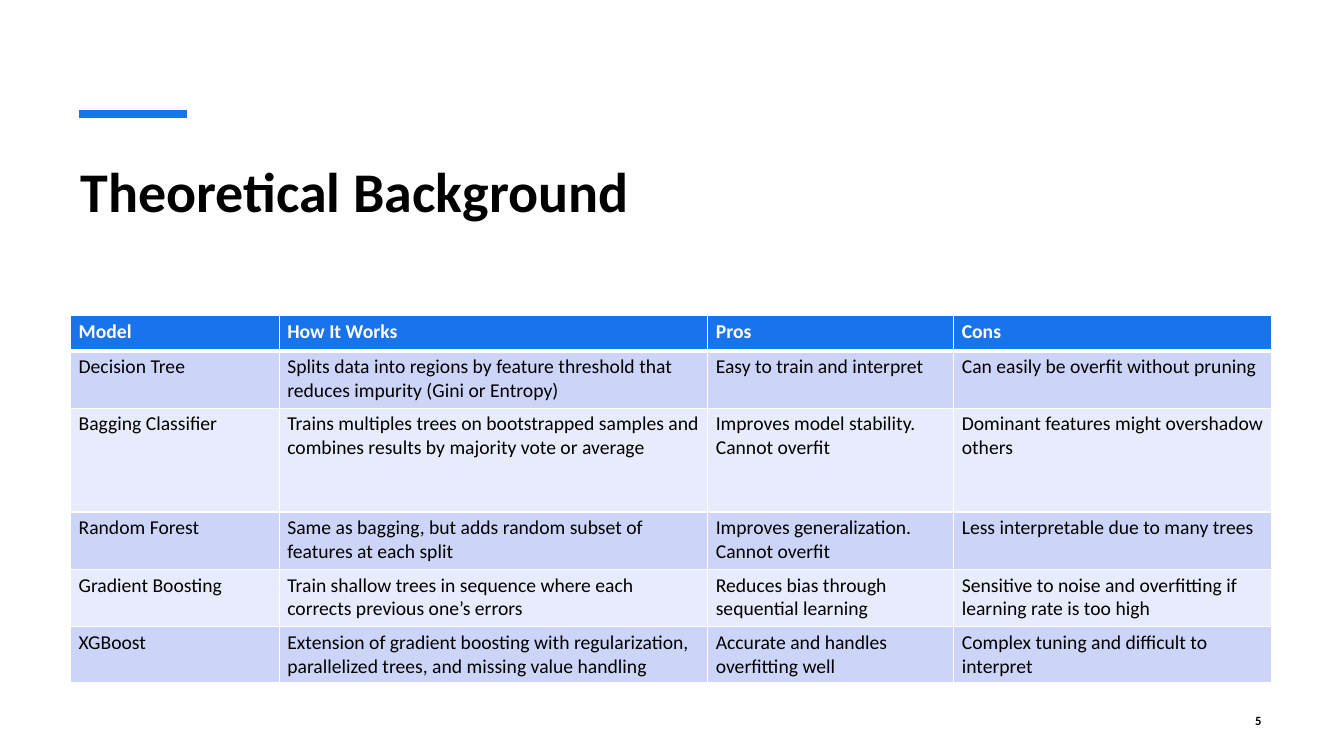
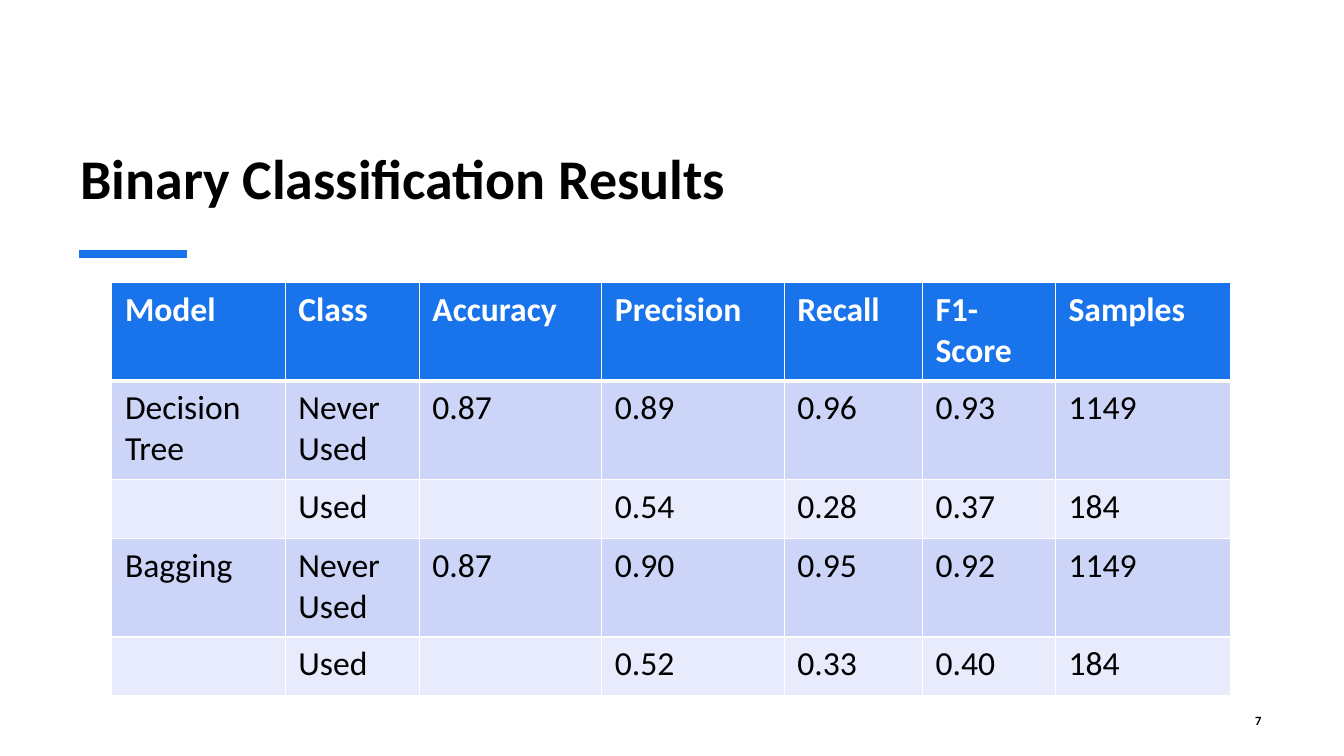
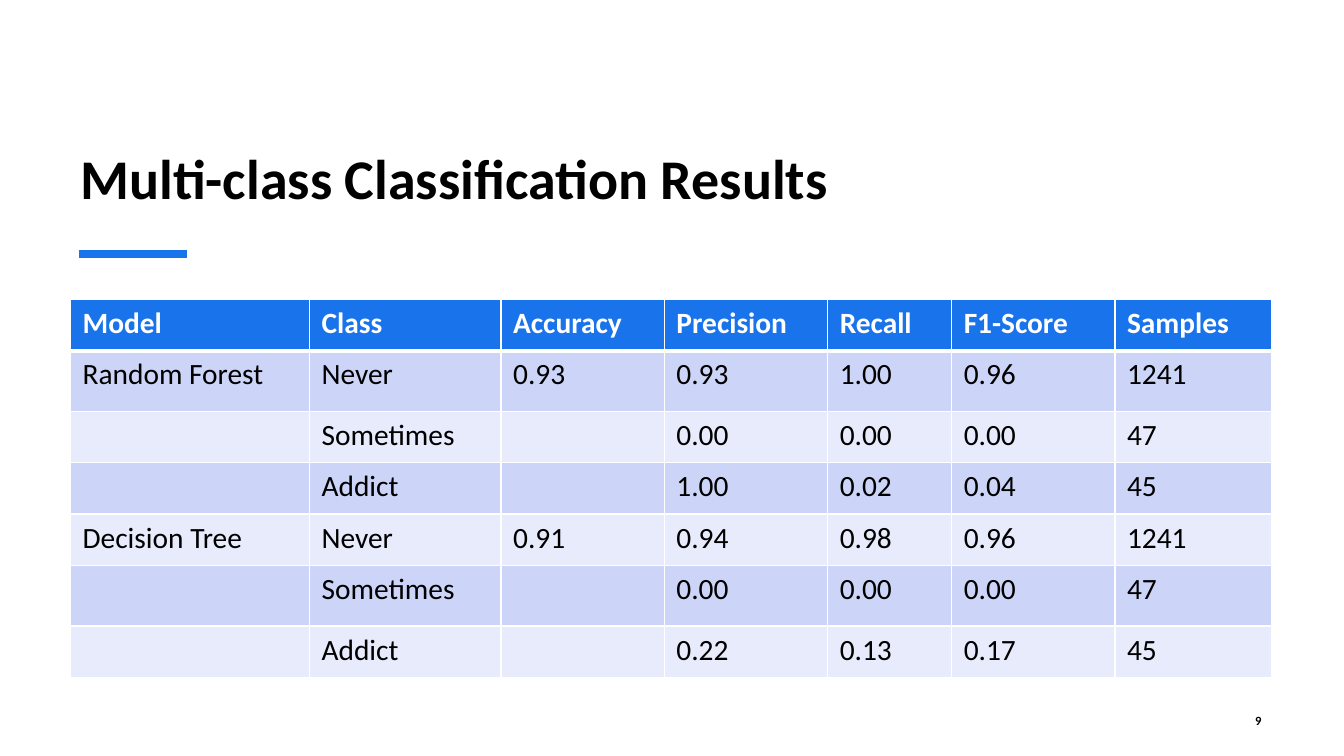
from dataclasses import dataclass

from lxml import etree
from pptx import Presentation
from pptx.dml.color import RGBColor
from pptx.enum.shapes import MSO_CONNECTOR
from pptx.enum.text import MSO_ANCHOR, PP_ALIGN
from pptx.oxml.ns import qn
from pptx.util import Inches, Pt

STRAIGHT = MSO_CONNECTOR.STRAIGHT
TOP, MIDDLE, BOTTOM = MSO_ANCHOR.TOP, MSO_ANCHOR.MIDDLE, MSO_ANCHOR.BOTTOM
LEFT, RIGHT = PP_ALIGN.LEFT, PP_ALIGN.RIGHT


@dataclass(frozen=True)
class Theme:
    font: str = "Calibri"
    accent: str = "1973EB"
    ink: str = "000000"
    paper: str = "FFFFFF"
    bands: tuple[str, str] = ("CCD5F7", "E8EBFB")
    title_size: int = 40
    number_size: int = 9
    accent_weight: int = 6
    grid_weight: int = 1
    header_weight: int = 3


@dataclass(frozen=True)
class Heading:
    top: float
    height: float
    anchor: MSO_ANCHOR
    accent_y: float


@dataclass(frozen=True)
class TableStyle:
    left: float
    top: float
    columns: tuple[float, ...]
    rows: tuple[float, ...]
    size: int
    inset_left: float
    inset_right: float
    inset_y: float


@dataclass(frozen=True)
class TablePage:
    title: str
    number: int
    heading: Heading
    style: TableStyle
    cells: tuple[tuple[str, ...], ...]


THEME = Theme()
ACCENT_ABOVE = Heading(1.5, 1.2, TOP, 1.13)
ACCENT_BELOW = Heading(0.62, 1.52, BOTTOM, 2.52)
SCORE_HEADER = ("Model", "Class", "Accuracy", "Precision", "Recall", "F1-Score", "Samples")

PAGES = (
    TablePage(
        "Theoretical Background", 5, ACCENT_ABOVE,
        TableStyle(0.7, 3.13, (2.07, 4.25, 2.44, 3.15),
                   (0.35, 0.57, 1.03, 0.57, 0.57, 0.55), 14, 0.08, 0.07, 0.04),
        (
            ("Model", "How It Works", "Pros", "Cons"),
            ("Decision Tree",
             "Splits data into regions by feature threshold that reduces impurity (Gini or Entropy)",
             "Easy to train and interpret",
             "Can easily be overfit without pruning"),
            ("Bagging Classifier",
             "Trains multiples trees on bootstrapped samples and combines results by majority vote or average",
             "Improves model stability. Cannot overfit",
             "Dominant features might overshadow others"),
            ("Random Forest",
             "Same as bagging, but adds random subset of features at each split",
             "Improves generalization. Cannot overfit",
             "Less interpretable due to many trees"),
            ("Gradient Boosting",
             "Train shallow trees in sequence where each corrects previous one’s errors",
             "Reduces bias through sequential learning",
             "Sensitive to noise and overfitting if learning rate is too high"),
            ("XGBoost",
             "Extension of gradient boosting with regularization, parallelized trees, and missing value handling",
             "Accurate and handles overfitting well",
             "Complex tuning and difficult to interpret"),
        ),
    ),
    TablePage(
        "Binary Classification Results", 7, ACCENT_BELOW,
        TableStyle(1.11, 2.8, (1.72, 1.33, 1.81, 1.81, 1.37, 1.32, 1.74),
                   (0.98, 0.98, 0.58, 0.98, 0.58), 24, 0.13, 0.13, 0.07),
        (
            SCORE_HEADER,
            ("Decision Tree", "Never Used", "0.87", "0.89", "0.96", "0.93", "1149"),
            ("", "Used", "", "0.54", "0.28", "0.37", "184"),
            ("Bagging", "Never Used", "0.87", "0.90", "0.95", "0.92", "1149"),
            ("", "Used", "", "0.52", "0.33", "0.40", "184"),
        ),
    ),
    TablePage(
        "Multi-class Classification Results", 9, ACCENT_BELOW,
        TableStyle(0.7, 2.97, (2.37, 1.9, 1.62, 1.62, 1.23, 1.62, 1.55),
                   (0.51, 0.6, 0.51, 0.51, 0.51, 0.6, 0.51), 21, 0.12, 0.12, 0.06),
        (
            SCORE_HEADER,
            ("Random Forest", "Never", "0.93", "0.93", "1.00", "0.96", "1241"),
            ("", "Sometimes", "", "0.00", "0.00", "0.00", "47"),
            ("", "Addict", "", "1.00", "0.02", "0.04", "45"),
            ("Decision Tree", "Never", "0.91", "0.94", "0.98", "0.96", "1241"),
            ("", "Sometimes", "", "0.00", "0.00", "0.00", "47"),
            ("", "Addict", "", "0.22", "0.13", "0.17", "45"),
        ),
    ),
)


def add_span(para, text: str, size: int, color: str, bold: bool) -> None:
    span = para.add_run()
    span.text = text
    span.font.name = THEME.font
    span.font.size = Pt(size)
    span.font.bold = bold
    span.font.color.rgb = RGBColor.from_string(color)


def add_label(page, text: str, place: tuple[float, float, float, float],
              size: int, anchor: MSO_ANCHOR, align: PP_ALIGN = LEFT, space_after: int = 0) -> None:
    box = page.shapes.add_textbox(*map(Inches, place))
    frame = box.text_frame
    frame.word_wrap = True
    frame.vertical_anchor = anchor
    para = frame.paragraphs[0]
    para.alignment = align
    para.space_after = Pt(space_after)
    add_span(para, text, size, THEME.ink, True)


def add_accent(page, y: float) -> None:
    accent = page.shapes.add_connector(STRAIGHT, Inches(0.78), Inches(y), Inches(1.85), Inches(y))
    accent.line.color.rgb = RGBColor.from_string(THEME.accent)
    accent.line.width = Pt(THEME.accent_weight)
    etree.SubElement(accent.element.spPr, qn("a:effectLst"))


def add_borders(cell, top: int, bottom: int) -> None:
    """Add the cell's borders; they must come before its fill in the XML."""
    properties = cell._tc.get_or_add_tcPr()
    side = THEME.grid_weight
    for tag, weight in (("lnL", side), ("lnR", side), ("lnT", top), ("lnB", bottom)):
        border = etree.SubElement(properties, qn(f"a:{tag}"), w=str(Pt(weight)))
        fill = etree.SubElement(border, qn("a:solidFill"))
        etree.SubElement(fill, qn("a:srgbClr"), val=THEME.paper)


def fill_cell(cell, text: str, row: int, style: TableStyle) -> None:
    header = row == 0
    cell.margin_left = Inches(style.inset_left)
    cell.margin_right = Inches(style.inset_right)
    cell.margin_top = cell.margin_bottom = Inches(style.inset_y)
    add_borders(cell,
                top=THEME.header_weight if row == 1 else THEME.grid_weight,
                bottom=THEME.header_weight if header else THEME.grid_weight)
    cell.fill.solid()
    color = THEME.accent if header else THEME.bands[(row - 1) % 2]
    cell.fill.fore_color.rgb = RGBColor.from_string(color)
    if text:
        add_span(cell.text_frame.paragraphs[0], text, style.size,
                 THEME.paper if header else THEME.ink, header)


def add_data_table(page, style: TableStyle, cells: tuple[tuple[str, ...], ...]) -> None:
    table = page.shapes.add_table(
        len(style.rows), len(style.columns), Inches(style.left), Inches(style.top),
        Inches(sum(style.columns)), Inches(sum(style.rows))).table
    table.horz_banding = False
    for column, width in zip(table.columns, style.columns):
        column.width = Inches(width)
    for row, height in zip(table.rows, style.rows):
        row.height = Inches(height)
    for row_index, texts in enumerate(cells):
        for column_index, text in enumerate(texts):
            fill_cell(table.cell(row_index, column_index), text, row_index, style)


def add_page(deck, content: TablePage) -> None:
    page = deck.slides.add_slide(deck.slide_layouts[6])
    heading = content.heading
    add_label(page, content.title, (0.7, heading.top, 11.91, heading.height),
              THEME.title_size, heading.anchor)
    add_accent(page, heading.accent_y)
    add_label(page, str(content.number), (11.82, 6.95, 0.79, 0.4),
              THEME.number_size, MIDDLE, RIGHT, space_after=6)
    add_data_table(page, content.style, content.cells)


def main() -> None:
    deck = Presentation()
    deck.slide_width, deck.slide_height = Inches(13.33), Inches(7.5)
    for content in PAGES:
        add_page(deck, content)
    deck.save("out.pptx")


if __name__ == "__main__":
    main()
